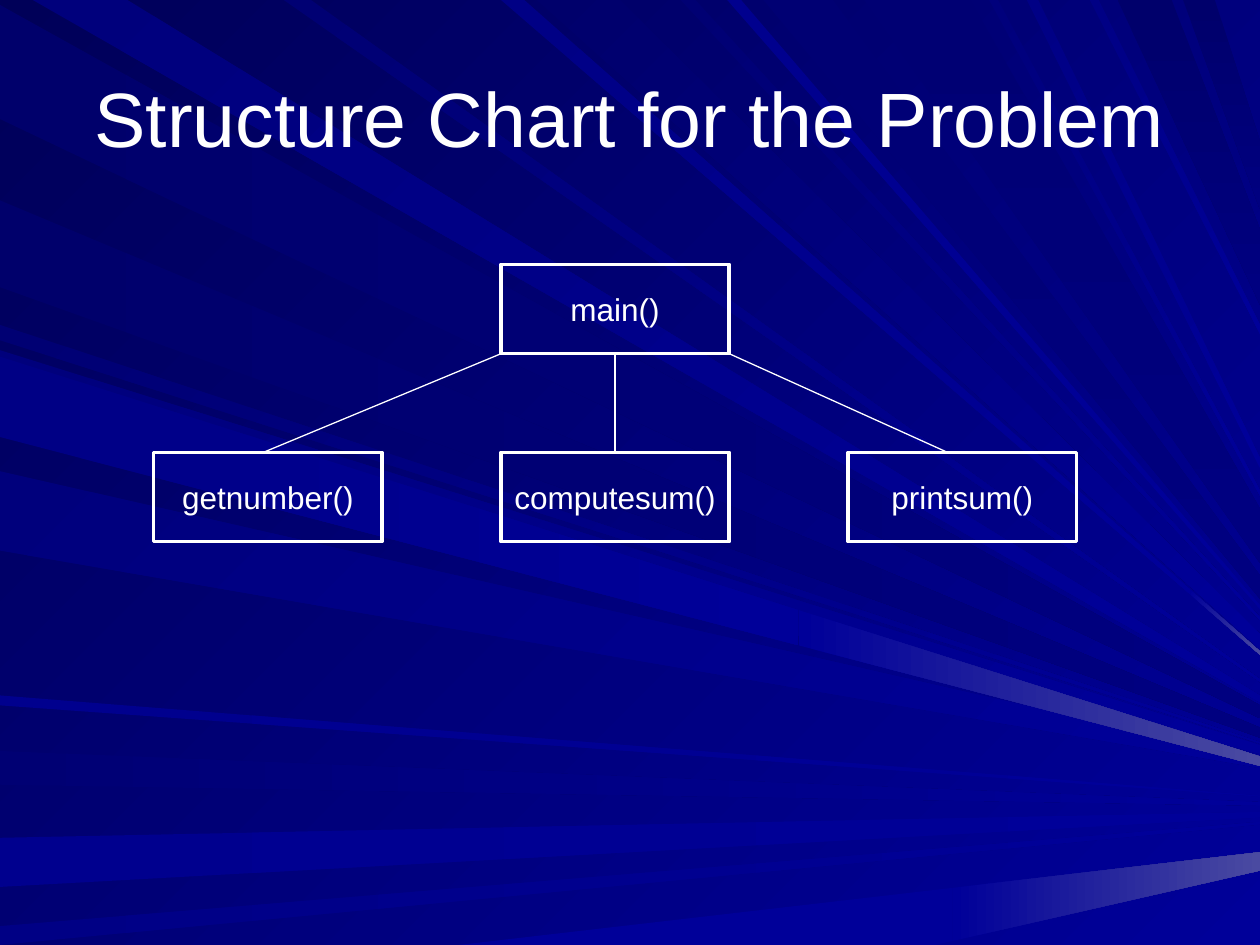
from lxml import etree
from pptx import Presentation
from pptx.dml.color import RGBColor
from pptx.enum.shapes import MSO_CONNECTOR, MSO_SHAPE
from pptx.enum.text import MSO_ANCHOR, MSO_AUTO_SIZE, PP_ALIGN
from pptx.oxml.ns import qn
from pptx.util import Cm, Pt

PROCESS = MSO_SHAPE.FLOWCHART_PROCESS
STRAIGHT = MSO_CONNECTOR.STRAIGHT
CENTER = PP_ALIGN.CENTER
MIDDLE = MSO_ANCHOR.MIDDLE
NO_AUTOFIT = MSO_AUTO_SIZE.NONE

COLOURS = {
    "white": "FFFFFF", "black blue": "000058", "night": "00006B",
    "dusk": "000073", "navy": "00007C", "deep": "000080",
    "royal": "000085", "azure": "00008E", "bright": "000099", "glow": "4A4AA1",
}

# Page and structure chart measures in centimetres
PAGE_WIDTH, PAGE_HEIGHT = 25.4, 19.05
BOX_WIDTH, BOX_HEIGHT = 4.6, 1.8
COLUMNS = [3.1 + 7 * column for column in range(3)]
MAIN_TOP, CALL_TOP = 5.33, 9.12
CALLS = ["getnumber()", "computesum()", "printsum()"]

# Rays run from a page edge to a focus right of the page.
# Each has two colours, its span on the edge and maybe where its glow starts.
FOCUS_X = 28.7
TOP_RAYS = [
    ("navy", "bright", 0.66, 2.57),
    ("dusk", "bright", 5.72, 6.27),
    ("royal", "bright", 10.1, 10.57, 24),
    ("night", "bright", 10.82, 12.5),
    ("dusk", "bright", 13.72, 14.02),
    ("azure", "bright", 14.66, 14.94),
    ("dusk", "deep", 15.39, 16.79),
    ("dusk", "deep", 17.42, 19.56),
    ("navy", "bright", 19.94, 20.12),
    ("royal", "bright", 20.7, 20.93),
]
STEEP_RAYS = [
    ("royal", "bright", 21.97, 22.15),
    ("night", "deep", 22.53, 23.62),
    ("night", "deep", 23.85, 24.49),
]
LEFT_RAYS = [
    ("night", "deep", 0.1, 2.4),
    ("dusk", "bright", 6.55, 6.86),
    ("night", "deep", 4.04, 5.79),
    ("navy", "bright", 7.06, 8.69),
    ("navy", "bright", 9.5, 11.1),
]
FLAT_RAYS = [
    ("royal", "bright", 7.19, 8.81, 16.1),
    ("azure", "bright", 14.02, 14.22),
    ("dusk", "bright", 15.14, 15.82),
    ("azure", "bright", 16.89, 17.88),
    ("royal", "bright", 18.67, 19.05),
]
BOTTOM_RAYS = [("bright", "bright", 9.25, 18.85, 19.2)]


def on_top(place):
    return place, 0


def on_left(place):
    return 0, place


def on_bottom(place):
    return place, PAGE_HEIGHT


# Edge, height of the focus, angles towards deep and bright, rays
RAY_GROUPS = [
    (on_top, 16.05, 90, 45, TOP_RAYS),
    (on_top, 13.2, 90, 45, STEEP_RAYS),
    (on_left, 16.05, 0, 45, LEFT_RAYS),
    (on_left, 16.3, 0, 0, FLAT_RAYS),
    (on_bottom, 16.8, 0, 0, BOTTOM_RAYS),
]


def colour(name):
    return RGBColor.from_string(COLOURS[name])


def towards_focus(start, focus_y, x):
    """Point at x on the line from start to the focus."""
    start_x, start_y = start
    return x, start_y + (focus_y - start_y) * (x - start_x) / (FOCUS_X - start_x)


def write(frame, text, size=18, ink="white", font="Arial", wrap=False):
    frame.word_wrap = wrap
    frame.auto_size = NO_AUTOFIT
    frame.vertical_anchor = MIDDLE
    para = frame.paragraphs[0]
    para.alignment = CENTER
    span = para.add_run()
    span.text = text
    span.font.size = Pt(size)
    span.font.name = font
    span.font.color.rgb = colour(ink)


def shade(fill, first, last, angle):
    if first == last:
        fill.solid()
        fill.fore_color.rgb = colour(first)
        return
    fill.gradient()
    fill.gradient_angle = 360 - angle
    for stop, name in zip(fill.gradient_stops, (first, last)):
        stop.color.rgb = colour(name)


class ChartPage:
    ink = "white"
    box_line = Pt(2)
    link_line = Pt(0.75)

    def __init__(self, deck):
        self.page = deck.slides.add_slide(deck.slide_layouts[5])
        self.shapes = self.page.shapes

    def outline(self, shapes, points, first, last, angle):
        points = [(x * 100, y * 100) for x, y in points]
        builder = shapes.build_freeform(*points[0], scale=Cm(1) / 100)
        builder.add_line_segments(points[1:], close=True)
        shape = builder.convert_to_shape()
        shape.shadow.inherit = False
        shape.line.fill.background()
        shade(shape.fill, first, last, angle)

    def background(self):
        shade(self.page.background.fill, "black blue", "bright", 45)
        shapes = self.shapes.add_group_shape().shapes
        for edge, focus_y, deep_angle, bright_angle, rays in RAY_GROUPS:
            for first, last, near, far, *split in rays:
                base = [edge(near), edge(far)]
                angle = deep_angle if last == "deep" else bright_angle
                for end in split + [PAGE_WIDTH]:
                    tip = [towards_focus(start, focus_y, end) for start in base]
                    self.outline(shapes, base + tip[::-1], first, last, angle)
                    # Whatever follows a split glows
                    base, first, last = tip, last, "glow"

    def title(self, text):
        title = self.shapes.title
        title.left, title.top = Cm(1.27), Cm(0.76)
        title.width, title.height = Cm(22.86), Cm(3.18)
        write(title.text_frame, text, size=44, wrap=True)
        # Bring the title in front of the rays
        self.shapes._spTree.append(title._element)

    def box(self, text, left, top):
        box = self.shapes.add_shape(PROCESS, Cm(left), Cm(top), Cm(BOX_WIDTH), Cm(BOX_HEIGHT))
        box.shadow.inherit = False
        box.fill.background()
        box.line.color.rgb = colour(self.ink)
        box.line.width = self.box_line
        write(box.text_frame, text)

    def link(self, start, end):
        link = self.shapes.add_connector(STRAIGHT, *map(Cm, start + end))
        link.line.color.rgb = colour(self.ink)
        link.line.width = self.link_line
        etree.SubElement(link._element.spPr, qn("a:effectLst"))


def main():
    deck = Presentation()
    deck.slide_width, deck.slide_height = Cm(PAGE_WIDTH), Cm(PAGE_HEIGHT)
    chart = ChartPage(deck)
    chart.background()
    chart.title("Structure Chart for the Problem")

    # Caller above, called functions in a row below
    main_left = COLUMNS[1]
    chart.box("main()", main_left, MAIN_TOP)
    for text, left in zip(CALLS, COLUMNS):
        chart.box(text, left, CALL_TOP)

    # Links from the middle and the corners of the caller
    main_bottom = MAIN_TOP + BOX_HEIGHT
    middle = main_left + BOX_WIDTH / 2
    ends = [(middle, middle), (main_left, 5.31), (main_left + BOX_WIDTH, 19.1)]
    for start, end in ends:
        chart.link((start, main_bottom), (end, CALL_TOP))

    deck.save("out.pptx")


if __name__ == "__main__":
    main()
